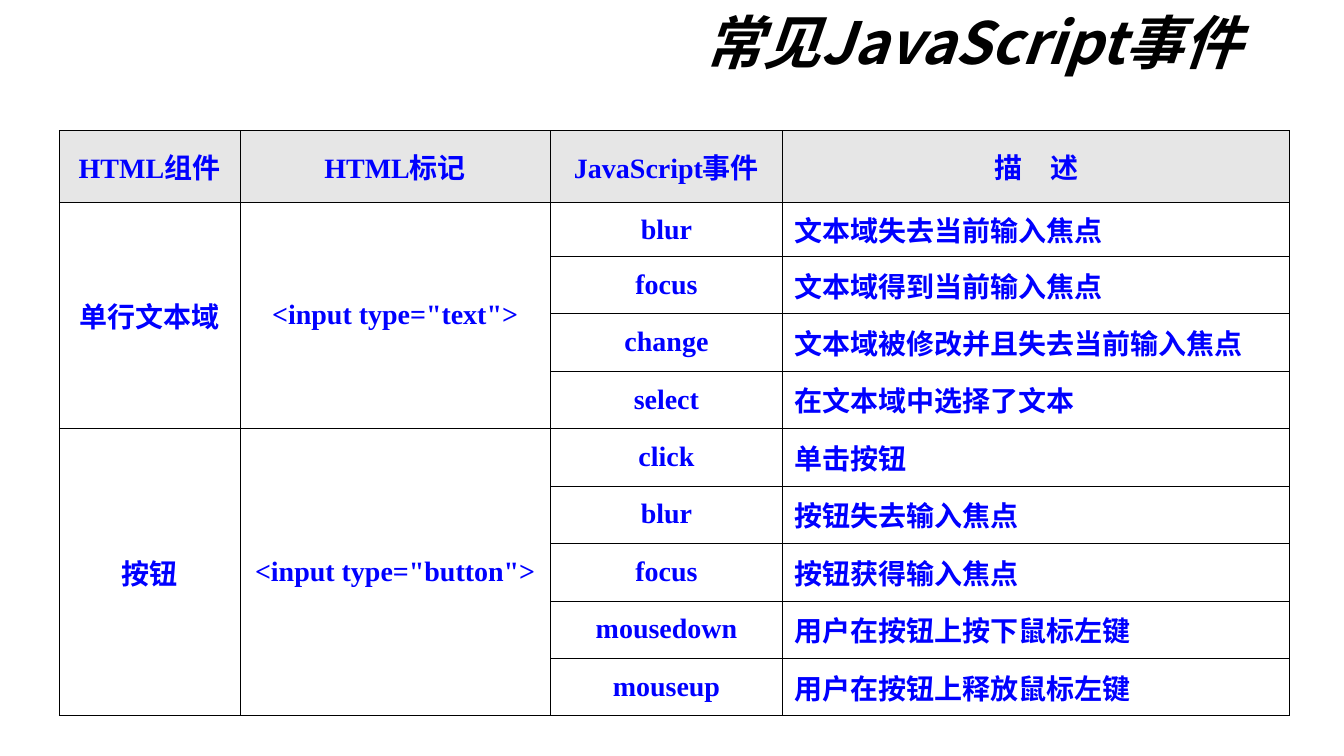
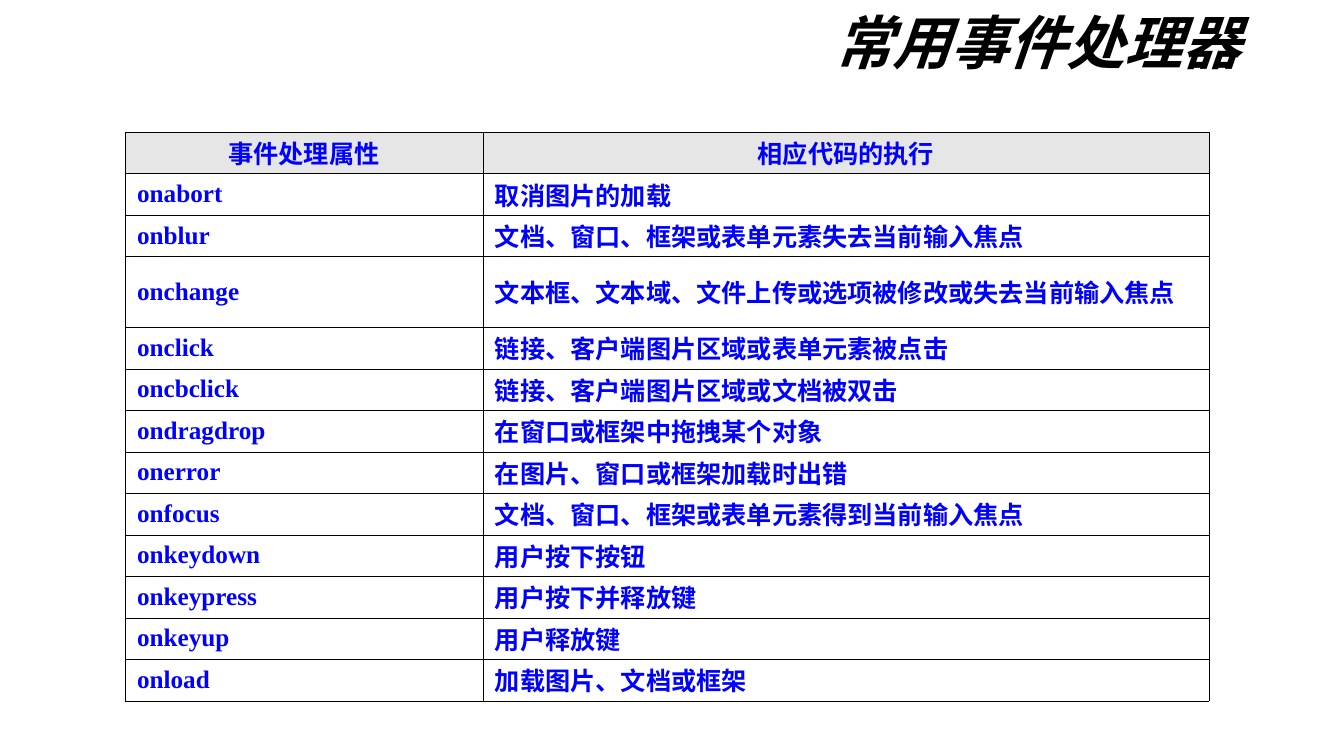
from dataclasses import dataclass

from lxml import etree
from pptx import Presentation
from pptx.dml.color import RGBColor
from pptx.enum.lang import MSO_LANGUAGE_ID
from pptx.enum.text import MSO_ANCHOR, MSO_AUTO_SIZE, PP_ALIGN
from pptx.oxml.ns import qn
from pptx.util import Inches, Pt

LEFT, CENTER, RIGHT = PP_ALIGN.LEFT, PP_ALIGN.CENTER, PP_ALIGN.RIGHT
MIDDLE = MSO_ANCHOR.MIDDLE
NO_AUTOFIT = MSO_AUTO_SIZE.NONE
CHINESE = MSO_LANGUAGE_ID.SIMPLIFIED_CHINESE
TITLE_ONLY = 5


@dataclass(frozen=True)
class Theme:
    title_color: str = "000000"
    table_color: str = "0000FF"
    header_fill: str = "E6E6E6"
    border_color: str = "000000"
    border_width: float = 0.45
    chinese_font: str = "Noto Sans CJK JP"
    table_font: str = "Times New Roman"
    title_size: int = 83
    component_size: int = 40
    handler_size: int = 36


THEME = Theme()

# Slide 1: component, tag, and the events each one raises
COMPONENT_HEADER = ("HTML组件", "HTML标记", "JavaScript事件", "描　述")
COMPONENTS = [
    ("单行文本域", '<input type="text">', [
        ("blur", "文本域失去当前输入焦点"),
        ("focus", "文本域得到当前输入焦点"),
        ("change", "文本域被修改并且失去当前输入焦点"),
        ("select", "在文本域中选择了文本"),
    ]),
    ("按钮", '<input type="button">', [
        ("click", "单击按钮"),
        ("blur", "按钮失去输入焦点"),
        ("focus", "按钮获得输入焦点"),
        ("mousedown", "用户在按钮上按下鼠标左键"),
        ("mouseup", "用户在按钮上释放鼠标左键"),
    ]),
]

# Slide 2: handler attribute and when its code runs
HANDLER_HEADER = ("事件处理属性", "相应代码的执行")
HANDLERS = [
    ("onabort", "取消图片的加载"),
    ("onblur", "文档、窗口、框架或表单元素失去当前输入焦点"),
    ("onchange", "文本框、文本域、文件上传或选项被修改或失去当前输入焦点"),
    ("onclick", "链接、客户端图片区域或表单元素被点击"),
    ("oncbclick", "链接、客户端图片区域或文档被双击"),
    ("ondragdrop", "在窗口或框架中拖拽某个对象"),
    ("onerror", "在图片、窗口或框架加载时出错"),
    ("onfocus", "文档、窗口、框架或表单元素得到当前输入焦点"),
    ("onkeydown", "用户按下按钮"),
    ("onkeypress", "用户按下并释放键"),
    ("onkeyup", "用户释放键"),
    ("onload", "加载图片、文档或框架"),
]


def add_span(para, text, font_name, size, color, italic=False):
    span = para.add_run()
    span.text = text
    font = span.font
    font.name, font.size = font_name, Pt(size)
    font.bold, font.italic = True, italic
    font.color.rgb = RGBColor.from_string(color)
    font.language_id = CHINESE
    # Chinese glyphs use their own typeface
    east_asian = etree.SubElement(span._r.get_or_add_rPr(), qn("a:ea"))
    east_asian.set("typeface", THEME.chinese_font)


def add_titled_page(deck, title):
    page = deck.slides.add_slide(deck.slide_layouts[TITLE_ONLY])
    box = page.shapes.title
    box.left, box.top = Inches(3.67), Inches(0)
    box.width, box.height = Inches(21.16), Inches(1.83)
    frame = box.text_frame
    frame.word_wrap, frame.auto_size = True, NO_AUTOFIT
    frame.vertical_anchor = MIDDLE
    frame.margin_left = frame.margin_right = Inches(0.2)
    frame.margin_top = frame.margin_bottom = Inches(0.1)
    para = frame.paragraphs[0]
    para.alignment, para.line_spacing = RIGHT, 0.9
    add_span(para, title, THEME.chinese_font, THEME.title_size,
             THEME.title_color, italic=True)
    return page


def add_borders(cell):
    properties = cell._tc.get_or_add_tcPr()
    for side in ("a:lnL", "a:lnR", "a:lnT", "a:lnB"):
        line = etree.SubElement(properties, qn(side))
        line.set("w", str(Pt(THEME.border_width)))
        fill = etree.SubElement(line, qn("a:solidFill"))
        etree.SubElement(fill, qn("a:srgbClr")).set("val", THEME.border_color)


def format_cell(cell, text, size, alignment, is_header):
    cell.margin_left = cell.margin_right = Inches(0.24)
    cell.margin_top = cell.margin_bottom = Inches(0.05)
    cell.vertical_anchor = MIDDLE
    add_borders(cell)
    if is_header:
        cell.fill.solid()
        cell.fill.fore_color.rgb = RGBColor.from_string(THEME.header_fill)
    else:
        cell.fill.background()
    para = cell.text_frame.paragraphs[0]
    para.alignment = CENTER if is_header else alignment
    if text:
        add_span(para, text, THEME.table_font, size, THEME.table_color)


def add_grid(page, left, top, widths, heights, rows, size, alignments):
    """Add a ruled table whose first row is a shaded, centred header."""
    table = page.shapes.add_table(
        len(rows), len(widths), Inches(left), Inches(top),
        Inches(sum(widths)), Inches(sum(heights))).table
    table.first_row = table.horz_banding = False
    for column, width in zip(table.columns, widths):
        column.width = Inches(width)
    for row, height in zip(table.rows, heights):
        row.height = Inches(height)
    for r, texts in enumerate(rows):
        for c, text in enumerate(texts):
            format_cell(table.cell(r, c), text, size, alignments[c], r == 0)
    return table


def add_component_table(page):
    rows = [COMPONENT_HEADER]
    merges = []
    for component, tag, events in COMPONENTS:
        first = len(rows)
        for index, event in enumerate(events):
            labels = (component, tag) if index == 0 else ("", "")
            rows.append(labels + event)
        merges.append((first, len(rows) - 1))
    heights = [1.43, 1.07, 1.13] + [1.14] * (len(rows) - 3)
    table = add_grid(page, 1.17, 2.59, [3.59, 6.16, 4.61, 10.06], heights,
                     rows, THEME.component_size,
                     [CENTER, CENTER, CENTER, LEFT])
    for first, last in merges:
        for column in (0, 1):
            table.cell(first, column).merge(table.cell(last, column))


def add_handler_table(page):
    rows = [HANDLER_HEADER] + HANDLERS
    heights = [1.4 if row[0] == "onchange" else 0.81 for row in rows]
    add_grid(page, 2.48, 2.62, [7.1, 14.41], heights, rows,
             THEME.handler_size, [LEFT, LEFT])


def main():
    deck = Presentation()
    deck.slide_width, deck.slide_height = Inches(26.67), Inches(15)
    add_component_table(add_titled_page(deck, "常见JavaScript事件"))
    add_handler_table(add_titled_page(deck, "常用事件处理器"))
    deck.save("out.pptx")


if __name__ == "__main__":
    main()
